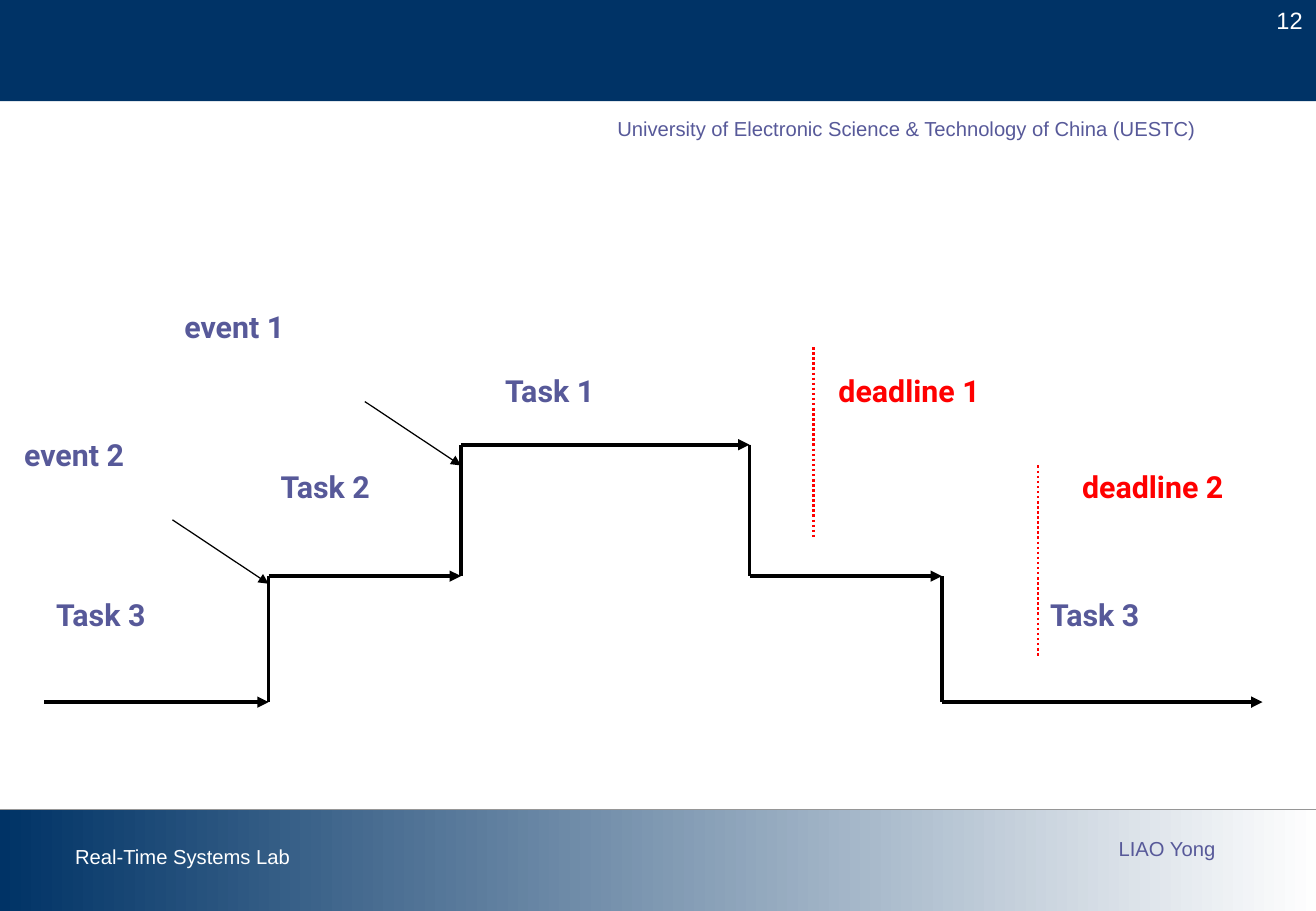
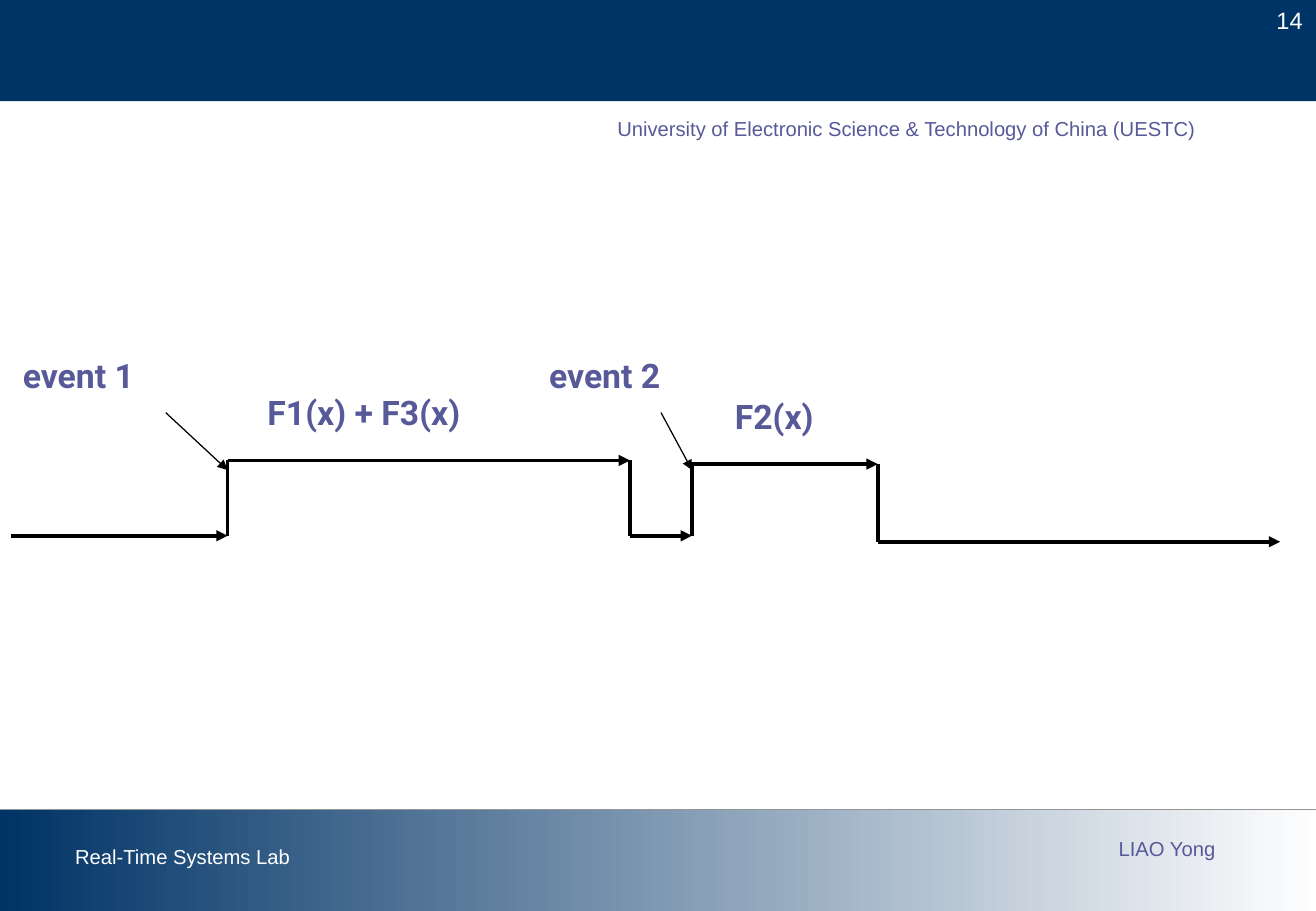
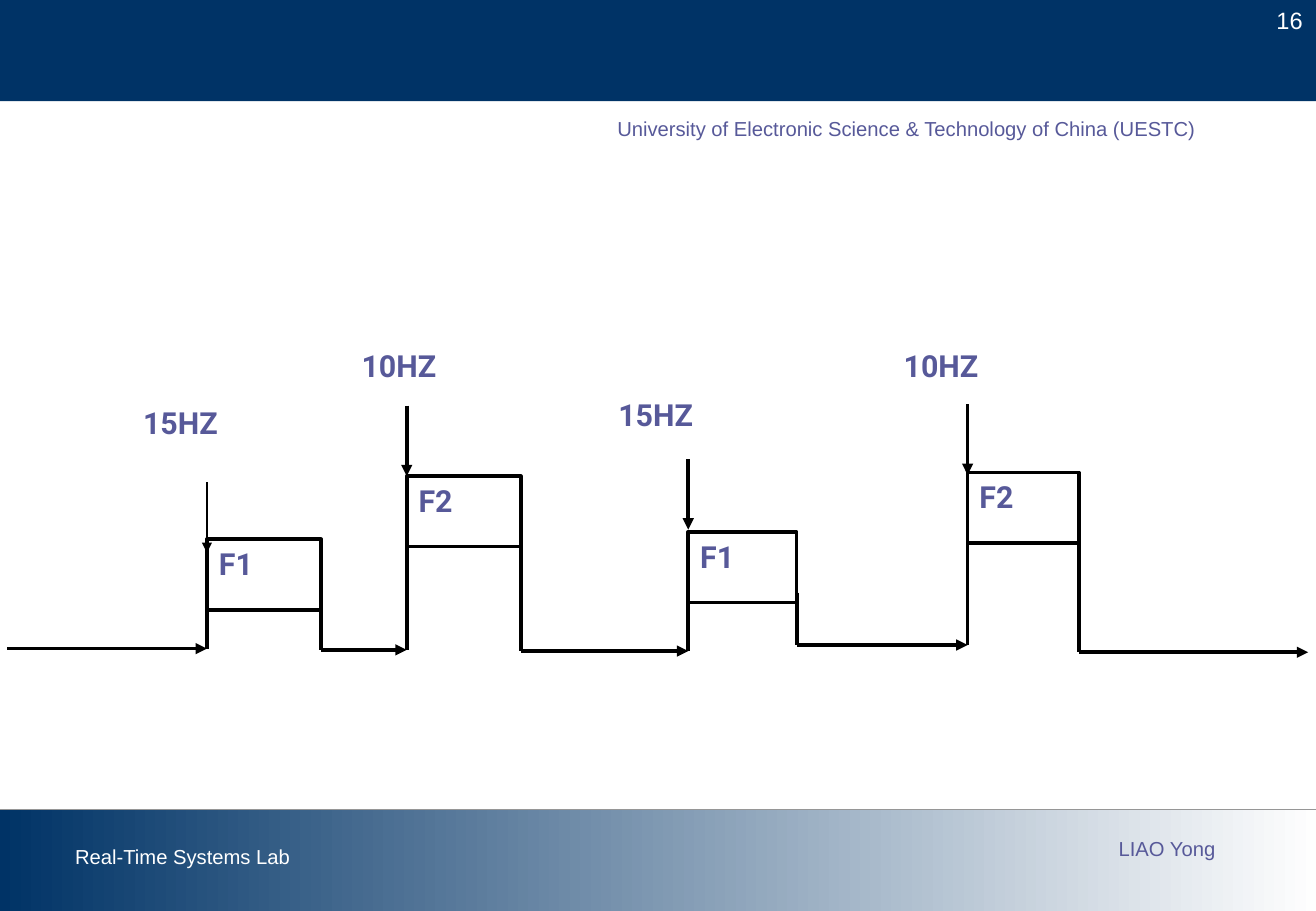
"""Build three slides on task scheduling timelines."""
from dataclasses import dataclass
from itertools import pairwise

from lxml import etree
from pptx import Presentation
from pptx.dml.color import RGBColor
from pptx.enum import dml, shapes, text
from pptx.oxml import ns
from pptx.slide import Slide
from pptx.util import Inches, Pt

WIDTH, HEIGHT = 10.84, 7.5
NAVY, VIOLET, RED = "003366", "575999", "FF0000"
BLACK, WHITE, PALE, GREY = "000000", "FFFFFF", "FEFEFE", "969696"
BODY, FRAME = "Roboto", "Arial"
THICK, MEDIUM, THIN = 2.25, 1.5, 0.75


@dataclass
class Grid:
    """A region of a page, measured in columns and rows."""
    page: Slide
    left: float
    top: float
    column: float
    row: float

    def point(self, column, row):
        """Return the place of a grid point on the page."""
        return (Inches(self.left + column * self.column),
                Inches(self.top + row * self.row))

    def area(self, column, row, columns, rows):
        """Return left, top, width and height of a block of cells."""
        return (*self.point(column, row),
                Inches(columns * self.column), Inches(rows * self.row))


def paint(color, value):
    """Set a colour from a hex string."""
    color.rgb = RGBColor.from_string(value)


def write(box, words, size, color, font=BODY, bold=True, align=text.PP_ALIGN.LEFT):
    """Write one line of text at the top of a box."""
    frame = box.text_frame
    frame.word_wrap = True
    frame.vertical_anchor = text.MSO_ANCHOR.TOP
    para = frame.paragraphs[0]
    para.alignment = align
    span = para.add_run()
    span.text = words
    span.font.name, span.font.size, span.font.bold = font, Pt(size), bold
    paint(span.font.color, color)


def label(grid, cells, words, size, color=VIOLET, **style):
    """Place a text box on a block of cells."""
    write(grid.page.shapes.add_textbox(*grid.area(*cells)), words, size, color, **style)


def rectangle(grid, cells):
    """Place a plain rectangle on a block of cells."""
    shape = grid.page.shapes.add_shape(shapes.MSO_SHAPE.RECTANGLE, *grid.area(*cells))
    shape.shadow.inherit = False
    return shape


def line(grid, start, end, color=BLACK, width=THICK, arrow=False, dash=None):
    """Draw a straight line between two grid points."""
    connector = grid.page.shapes.add_connector(
        shapes.MSO_CONNECTOR.STRAIGHT, *grid.point(*start), *grid.point(*end))
    paint(connector.line.color, color)
    connector.line.width = Pt(width)
    if dash:
        connector.line.dash_style = dash
    if arrow:
        etree.SubElement(connector.line._get_or_add_ln(), ns.qn("a:tailEnd"), type="triangle")
    etree.SubElement(connector._element.spPr, ns.qn("a:effectLst"))


def add_page(deck, number):
    """Add a page with the shared header and footer bands."""
    page = deck.slides.add_slide(deck.slide_layouts[6])
    grid = Grid(page, 0, 0, WIDTH / 100, HEIGHT / 100)
    plain = {"font": FRAME, "bold": False}

    line(grid, (0, 11.1), (100, 11.1), WHITE, THIN)
    header = rectangle(grid, (0, 0, 100, 11.1))
    header.fill.solid()
    paint(header.fill.fore_color, NAVY)
    header.line.fill.background()
    label(grid, (94.1, 0, 5.8, 4.4), str(number), 14, WHITE,
          align=text.PP_ALIGN.RIGHT, **plain)

    footer = rectangle(grid, (0, 88.8, 100, 11.2))
    footer.fill.gradient()
    footer.fill.gradient_angle = 180
    for stop, color in zip(footer.fill.gradient_stops, (PALE, NAVY)):
        paint(stop.color, color)
    footer.line.fill.background()
    line(grid, (0, 88.9), (100, 88.9), GREY, THIN)
    label(grid, (4.8, 92, 18.6, 4), "Real-Time Systems Lab", 12, WHITE, **plain)
    label(grid, (84.1, 91.1, 9.4, 4), "LIAO Yong", 12, **plain)
    label(grid, (46, 12.1, 54.2, 4),
          "University of Electronic Science & Technology of China (UESTC)", 12, **plain)
    return page


def staircase(grid, edges, levels):
    """Draw an arrow on each level and a riser between neighbouring levels."""
    for (start, end), level in zip(pairwise(edges), levels):
        line(grid, (start, level), (end, level), arrow=True)
    for edge, (before, after) in zip(edges[1:], pairwise(levels)):
        line(grid, (edge, before), (edge, after))


def events(grid, arrows):
    """Draw the thin arrows that point at the events."""
    for start, end in arrows:
        line(grid, start, end, width=THIN, arrow=True)


def preemption(grid):
    """Draw three tasks that preempt each other before their deadlines."""
    staircase(grid, (1, 8, 14, 23, 29, 39), (12.5, 8.56, 4.45, 8.56, 12.5))
    for column, row in ((25, 1.4), (32, 5.1)):
        line(grid, (column, row), (column, row + 6), RED, MEDIUM,
             dash=dml.MSO_LINE.ROUND_DOT)
    events(grid, (((5, 6.8), (8, 8.8)), ((11, 3.1), (14, 5.1))))
    for words, column, row in (
            ("event 1", 5, 0), ("event 2", 0, 4), ("Task 1", 15, 2),
            ("Task 2", 8, 5), ("Task 3", 1, 9), ("Task 3", 32, 9)):
        label(grid, (column, row, 6, 3), words, 18)
    for words, column, row in (("deadline 1", 25.4, 2), ("deadline 2", 33, 5)):
        label(grid, (column, row, 8, 3), words, 18, RED)


def event_loop(grid):
    """Draw the functions that run after each event."""
    staircase(grid, (0, 7, 20, 22, 28, 41), (9.94, 5.94, 9.94, 6.13, 10.26))
    events(grid, (((5, 3.4), (7, 6.45)), ((21, 3.4), (22, 6.45))))
    for words, column, row, columns in (
            ("event 1", 0, 0, 6), ("F1(x) + F3(x)", 7.9, 2, 10),
            ("event 2", 17, 0, 6), ("F2(x)", 23, 2.2, 6)):
        label(grid, (column, row, columns, 3), words, 20)


def periodic_tasks(grid):
    """Draw two functions released at fixed rates along a ground line."""
    pulses = (
        ("F1", "15HZ", 7, 4, 16.3, (11.6, 17.4), THIN, (4.34, 4.7)),
        ("F2", "10HZ", 14, 4, 11.1, (5.3, 11.1), THICK, (12, 0)),
        ("F1", "15HZ", 23.87, 3.8, 15.7, (9.7, 15.5), THICK, (21, 4)),
        ("F2", "10HZ", 33.66, 3.9, 10.8, (5.2, 11), THICK, (31, 0)))
    grounds = (25.3, 25.4, 25.5, 25, 25.6)
    start = 0
    for pulse, (before, after) in zip(pulses, pairwise(grounds)):
        name, rate, left, columns, top, (tail, head), width, place = pulse
        right = left + columns
        line(grid, (start, before), (left, before), arrow=True)
        block = rectangle(grid, (left, top, columns, 5.8))
        block.fill.background()
        paint(block.line.color, BLACK)
        block.line.width = Pt(THICK)
        write(block, name, 18, VIOLET)
        for side, ground in ((left, before), (right, after)):
            line(grid, (side, top + 5), (side, ground))
        line(grid, (left, tail), (left, head), width=width, arrow=True)
        label(grid, (*place, 6, 5.8), rate, 18)
        start = right
    line(grid, (start, grounds[-1]), (45.6, grounds[-1]), arrow=True)


def main():
    """Build and save the deck."""
    deck = Presentation()
    deck.slide_width, deck.slide_height = Inches(WIDTH), Inches(HEIGHT)
    preemption(Grid(add_page(deck, 12), 0.1, 2.49, 0.26 + 0.16 / 39, 0.26 + 0.04 / 12.5))
    event_loop(Grid(add_page(deck, 14), 0.09, 2.87, 10.2 / 40, 3.1 / 20))
    periodic_tasks(Grid(add_page(deck, 16), 0.06, 2.81, 9.4 / 40, 0.1))
    deck.save("out.pptx")


if __name__ == "__main__":
    main()
